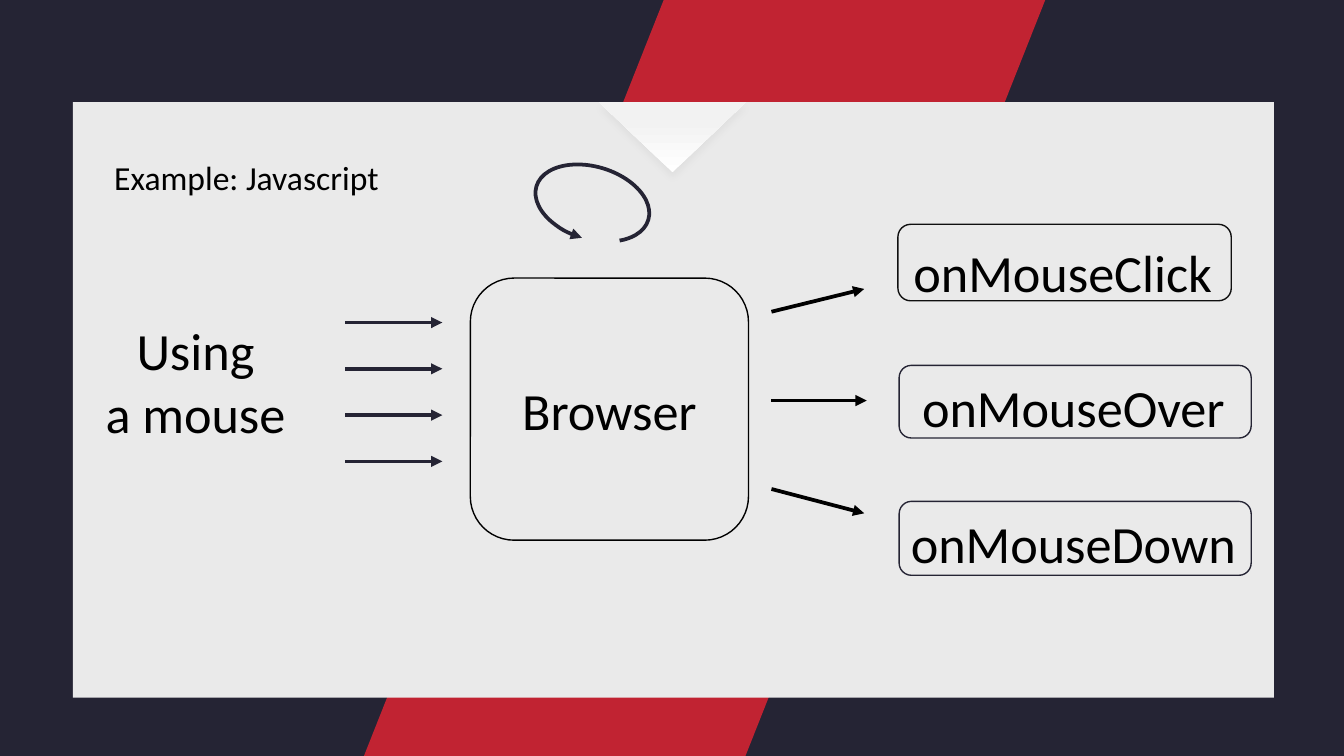
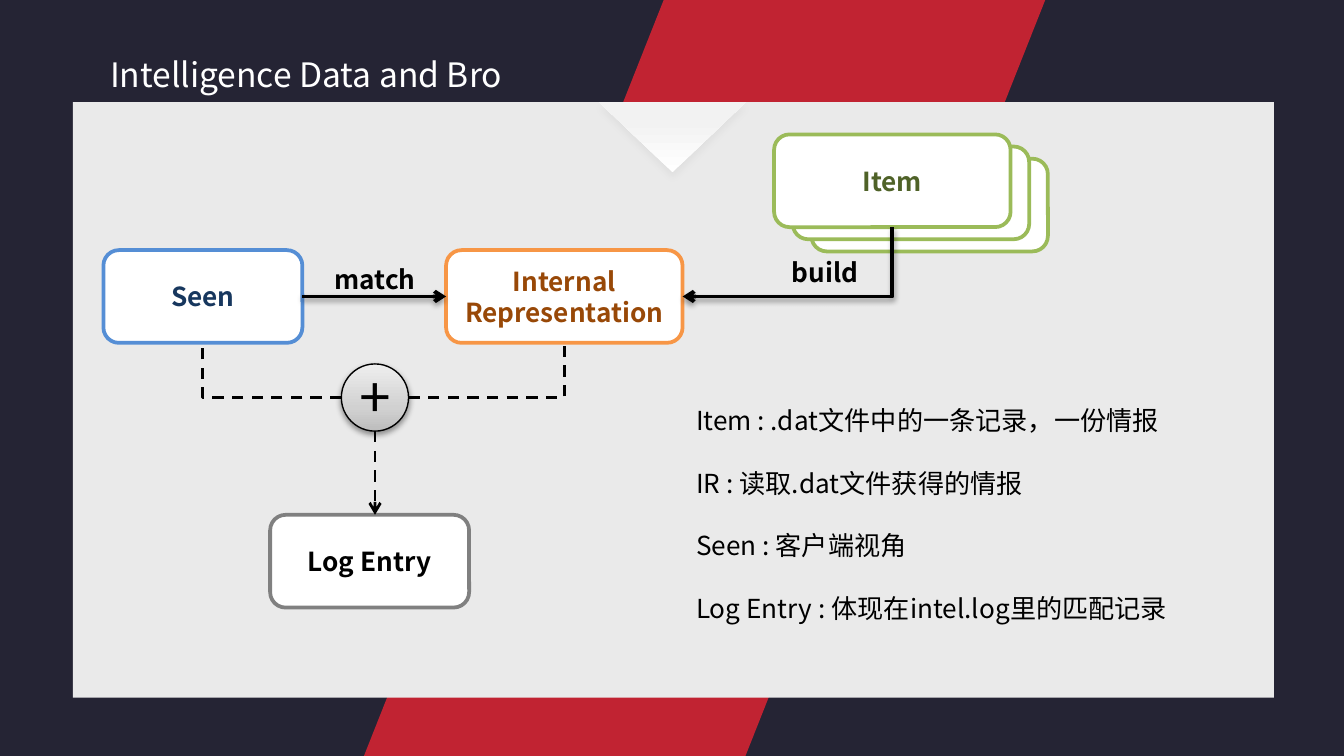
from lxml.etree import SubElement
from pptx import Presentation
from pptx.dml.color import RGBColor
from pptx.enum.dml import MSO_LINE
from pptx.enum.shapes import MSO_CONNECTOR, MSO_SHAPE
from pptx.enum.text import MSO_ANCHOR, MSO_AUTO_SIZE, PP_ALIGN
from pptx.oxml.ns import qn
from pptx.util import Pt

COLORS = {
    "navy": "252434", "red": "C12332", "panel": "EAEAEA", "white": "FFFFFF",
    "black": "000000", "pale": "F2F2F2", "ink": "101010",
    "blue": "558ED5", "blue_text": "17375E",
    "orange": "F79646", "orange_text": "984807",
    "green": "9BBB59", "green_text": "4F6228", "gray": "808080",
    "steel": "BDBDBD", "silver": "D1D1D1", "mist": "EEEEEE",
}
LATIN, CJK = "Calibri", "Noto Sans CJK SC"
BIG = {"size": Pt(28), "name": LATIN}
LABEL = {"size": Pt(14), "name": CJK, "bold": True}
NOTE = {"size": Pt(14), "name": CJK}
SOFT_SHADOW = (38, 3.1, 1.6)  # opacity %, blur, distance


# Shared drawing helpers
def rgb(name):
    return RGBColor.from_string(COLORS[name])


def points(box):
    return [Pt(v) for v in box]


def set_line(line, color, width, dash=False):
    line.color.rgb = rgb(color)
    line.width = Pt(width)
    if dash:
        line.dash_style = MSO_LINE.DASH


def add_shadow(sp, opacity, blur, distance):
    effects = sp._element.spPr.find(qn("a:effectLst"))
    shadow = SubElement(effects, qn("a:outerShdw"), blurRad=str(Pt(blur)),
                        dist=str(Pt(distance)), dir="5400000", rotWithShape="0")
    color = SubElement(shadow, qn("a:srgbClr"), val=COLORS["black"])
    SubElement(color, qn("a:alpha"), val=str(opacity * 1000))


def set_gradient(sp, stops, angle):
    sp.fill.gradient()
    sp.fill.gradient_angle = angle
    stop_list = sp._element.spPr.find(qn("a:gradFill")).find(qn("a:gsLst"))
    stop_list.clear()
    for position, name in stops:
        gs = SubElement(stop_list, qn("a:gs"), pos=str(position * 1000))
        SubElement(gs, qn("a:srgbClr"), val=COLORS[name])


def add_shape(s, kind, box, fill=None, line=None, width=0.75):
    sp = s.shapes.add_shape(kind, *points(box))
    sp.shadow.inherit = False
    if fill:
        sp.fill.solid()
        sp.fill.fore_color.rgb = rgb(fill)
    else:
        sp.fill.background()
    if line:
        set_line(sp.line, line, width)
    else:
        sp.line.fill.background()
    return sp


def set_text(sp, lines, font, color="black", align=PP_ALIGN.CENTER,
             anchor=MSO_ANCHOR.TOP, wrap=False, gap=0):
    tf = sp.text_frame
    frame = {"word_wrap": wrap, "auto_size": MSO_AUTO_SIZE.NONE,
             "vertical_anchor": anchor}
    for key, value in frame.items():
        setattr(tf, key, value)
    for i, line in enumerate(lines):
        p = tf.add_paragraph() if i else tf.paragraphs[0]
        p.alignment = align
        p.space_before = Pt(gap if i else 0)
        r = p.add_run()
        r.text = line
        for key, value in font.items():
            setattr(r.font, key, value)
        r.font.color.rgb = rgb(color)
        SubElement(r._r.get_or_add_rPr(), qn("a:ea"), typeface=font["name"])


def add_text(s, box, lines, font, **style):
    set_text(s.shapes.add_textbox(*points(box)), lines, font, **style)


def add_node(s, box, lines, font, color, line, width=2, fill="white"):
    sp = add_shape(s, MSO_SHAPE.ROUNDED_RECTANGLE, box, fill, line, width)
    set_text(sp, lines, font, color=color, anchor=MSO_ANCHOR.MIDDLE)
    return sp


def add_arrowhead(sp, end, kind):
    ln = sp.line._get_or_add_ln()
    SubElement(ln, qn(f"a:{end}End"), type=kind)


def add_link(s, start, stop, color="black", width=2, dash=False, elbow=False):
    """Straight line, or an elbow that runs across first and then up or down."""
    kind = MSO_CONNECTOR.ELBOW if elbow else MSO_CONNECTOR.STRAIGHT
    link = s.shapes.add_connector(kind, *points((*start, *stop)))
    if elbow:
        geometry = link._element.spPr.find(qn("a:prstGeom"))
        geometry.set("prst", "bentConnector2")
    set_line(link.line, color, width, dash)
    SubElement(link._element.spPr, qn("a:effectLst"))
    return link


# Backdrop shared by both slides, kept in the layout
def build_backdrop(s, layout, width, height):
    parts = [
        add_shape(s, MSO_SHAPE.RECTANGLE, (0, 0, width, height), "navy"),
        add_shape(s, MSO_SHAPE.PARALLELOGRAM, (195, 0, 365, height), "red"),
        add_shape(s, MSO_SHAPE.RECTANGLE, (39, 54.8, 643.5, 319), "panel"),
        add_shape(s, MSO_SHAPE.ISOSCELES_TRIANGLE, (321, 54.8, 78.5, 37.5)),
    ]
    parts[1].adjustments[0] = 0.44
    notch = parts[3]
    notch.rotation = 180
    set_gradient(notch, [(0, "white"), (74, "pale")], 270)
    add_shadow(notch, 4, 4, 3)
    for i, sp in enumerate(parts):
        sp._element.nvSpPr.cNvPr.set("id", str(100 + i))
        layout.shapes.element.insert(2 + i, sp._element)


def set_title(s, box, text, font):
    title = s.shapes.title
    title.left, title.top, title.width, title.height = points(box)
    set_text(title, [text], font, color=font_color(font), align=PP_ALIGN.LEFT,
             wrap=True)


def font_color(font):
    return "white" if font["name"] == CJK else "black"


# Event slide: input, browser loop, handlers
def build_input(s, x, y):
    add_text(s, (x, y, 160.5, 79), ["Using", "a mouse"], BIG)
    for i in range(4):
        row = y + 5.8 + 24.8 * i
        link = add_link(s, (x + 160.5, row), (x + 212.5, row), "navy")
        add_arrowhead(link, "tail", "triangle")


def build_browser(s, x, y, w, h):
    add_node(s, (x, y, w, h), ["Browser"], BIG, "black", "black", 0.75, None)
    loop = add_shape(s, MSO_SHAPE.ARC, (x + 34, y - 59.7, 62.6, 38.9),
                     line="navy", width=2)
    loop.rotation = 196.7
    loop.adjustments[0] = 162
    loop.adjustments[1] = 130.41
    add_arrowhead(loop, "head", "triangle")


def build_handlers(s, x, y):
    for start, stop, reach in [(47, 34.8, 49.7), (94.6, 94.6, 51), (142, 155, 49.7)]:
        link = add_link(s, (x, y + start), (x + reach, y + stop))
        add_arrowhead(link, "tail", "triangle")
    # name, outline, frame offset and size, text offset inside the frame
    handlers = [
        ("onMouseClick", "ink", (67.7, 0.2, 178.6, 41), (-1, 5)),
        ("onMouseOver", "navy", (68.4, 75.8, 188.6, 38.9), (-1, 1.5)),
        ("onMouseDown", "navy", (68.4, 148.6, 188.6, 39.6), (-1, 1.5)),
    ]
    for name, outline, (dx, dy, w, h), (tx, ty) in handlers:
        left, top = x + dx, y + dy
        add_shape(s, MSO_SHAPE.ROUNDED_RECTANGLE, (left, top, w, h), line=outline)
        add_text(s, (left + tx, top + ty, w, h), [name], BIG)


def build_event_slide(s):
    set_title(s, (54, 80.6, 180, 50), "Example: Javascript",
              {"size": Pt(18), "name": LATIN})
    build_input(s, 24.5, 167)
    build_browser(s, 252, 149, 149, 140.4)
    build_handlers(s, 413.3, 120)


# Intelligence slide: flow diagram and glossary
def build_flow(s, x, y):
    wide, narrow, h = 126.7, 106.6, 49.7
    seen = add_node(s, (x, y + 62, narrow, h), ["Seen"], LABEL, "blue_text", "blue")
    rep = add_node(s, (x + 183.6, y + 62, wide, h),
                   ["Internal", "Representation"], LABEL, "orange_text", "orange")
    # Stack of items, front card last
    for i in (2, 1):
        add_shape(s, MSO_SHAPE.ROUNDED_RECTANGLE,
                  (x + 359.3 + 10 * i, y + 6.5 * i, wide, h), "white", "green", 2)
    item = add_node(s, (x + 359.3, y, wide, h), ["Item"], LABEL,
                    "green_text", "green")
    log = add_node(s, (x + 89.3, y + 203.8, narrow, h), ["Log Entry"], LABEL,
                   "black", "gray")

    # Plus sign
    cx, cy, radius = x + 145.5, y + 141, 18
    plus = add_shape(s, MSO_SHAPE.FLOWCHART_CONNECTOR,
                     (cx - radius, cy - radius, 2 * radius, 2 * radius), line="black")
    set_gradient(plus, [(0, "steel"), (35, "silver"), (100, "mist")], 90)
    add_shadow(plus, *SOFT_SHADOW)
    set_text(plus, ["+"], {"size": Pt(32), "name": LATIN}, anchor=MSO_ANCHOR.MIDDLE)
    plus.text_frame.margin_top = 0
    plus.text_frame.margin_bottom = Pt(5)

    # Solid arrows
    mid = y + 62 + h / 2
    match = add_link(s, (x + narrow, mid), (x + 183.6, mid))
    match.begin_connect(seen, 3)
    match.end_connect(rep, 1)
    add_arrowhead(match, "tail", "arrow")
    build = add_link(s, (x + 183.6 + wide, mid), (x + 359.3 + wide / 2, y + h),
                     elbow=True)
    build.begin_connect(rep, 3)
    build.end_connect(item, 2)
    add_arrowhead(build, "head", "arrow")
    for link in (match, build):
        add_shadow(link, *SOFT_SHADOW)
    for text, dx, dy in [("match", 109.6, 65.5), ("build", 350.7, 62)]:
        add_text(s, (x + dx, y + dy, 72, 24), [text], LABEL)

    # Dashed links through the plus sign
    for side, node, center in [(-1, seen, x + narrow / 2),
                               (1, rep, x + 183.6 + wide / 2)]:
        link = add_link(s, (cx + side * radius, cy), (center, y + 62 + h),
                        width=1.5, dash=True, elbow=True)
        link.end_connect(node, 2)
    down = add_link(s, (cx, cy + radius), (cx, log.top.pt), width=1.5, dash=True)
    add_arrowhead(down, "tail", "arrow")


def build_glossary(s, x, y):
    add_text(s, (x, y, 290, 129), [
        "Item : .dat文件中的一条记录，一份情报",
        "IR : 读取.dat文件获得的情报",
        "Seen : 客户端视角",
        "Log Entry : 体现在intel.log里的匹配记录",
    ], NOTE, align=PP_ALIGN.LEFT, wrap=True, gap=16.8)


def build_intel_slide(s):
    set_title(s, (51.8, 25.2, 236, 30), "Intelligence Data and Bro",
              {"size": Pt(18), "name": CJK})
    build_flow(s, 55.4, 72)
    build_glossary(s, 365.8, 213)


def main():
    prs = Presentation()
    prs.slide_width, prs.slide_height = Pt(720), Pt(405)
    layout = prs.slide_layouts[5]
    events, intel = [prs.slides.add_slide(layout) for _ in range(2)]
    build_backdrop(events, layout, 720, 405)
    build_event_slide(events)
    build_intel_slide(intel)
    prs.save("out.pptx")


if __name__ == "__main__":
    main()
